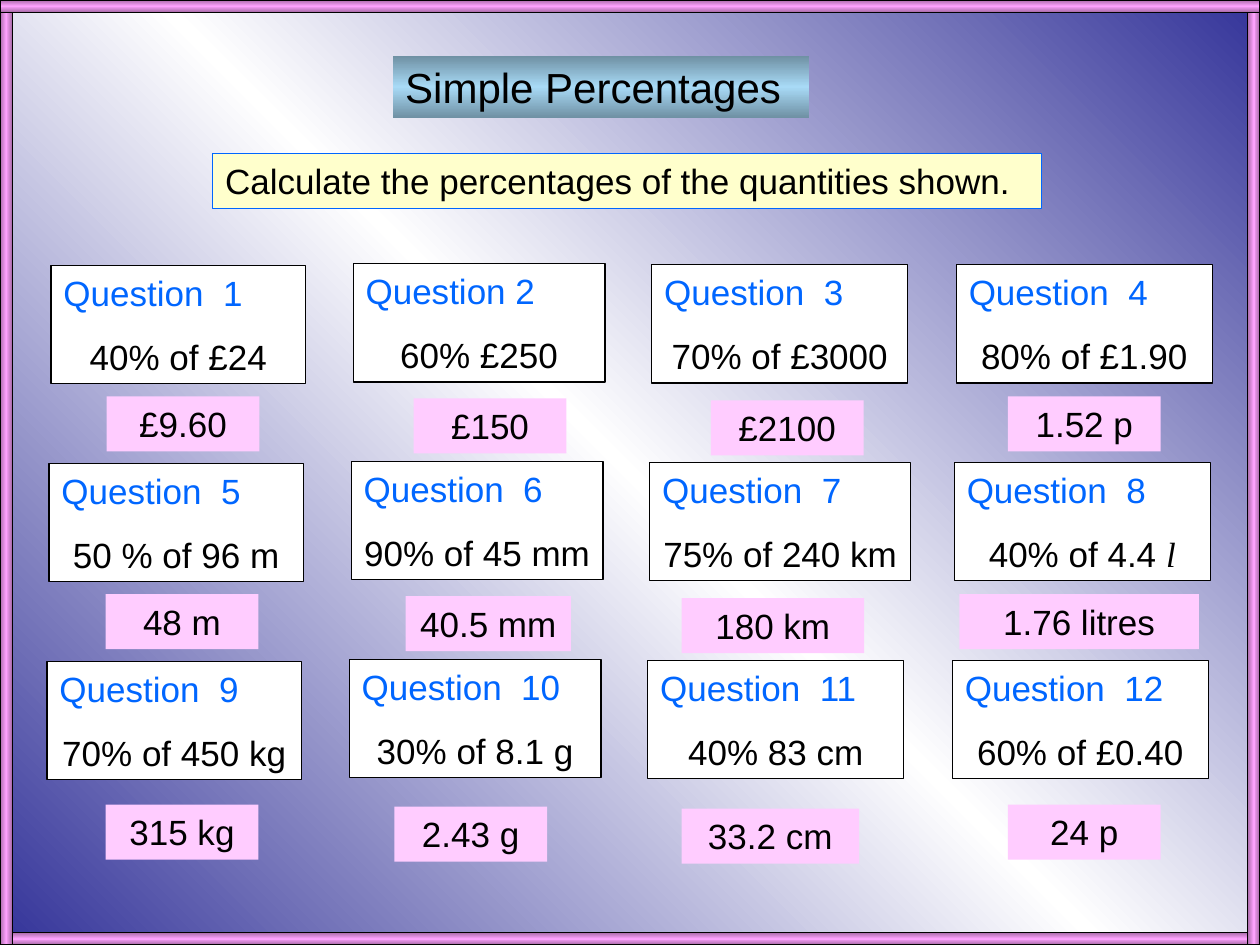
import copy
import dataclasses

import pptx
import pptx.dml.color
import pptx.enum.dml
import pptx.enum.shapes
import pptx.enum.text
import pptx.oxml.ns
import pptx.util

Cm = pptx.util.Cm
Pt = pptx.util.Pt
ALIGN = pptx.enum.text.PP_ALIGN


@dataclasses.dataclass(frozen=True)
class Theme:
    """Colours, fonts and type sizes of the worksheet."""
    backdrop: tuple = ("333399", "FFFFFF", "333399")
    banner: tuple = ("6E8FA2", "A8DAF6", "6E8FA2")
    frame: tuple = ("A76AA7", "FDA1FD", "A76AA7")
    ink: str = "000000"
    accent: str = "0066FF"
    note: str = "FFFFCC"
    card: str = "FFFFFF"
    answer: str = "FFCCFF"
    font: str = "Arial"
    unit_font: str = "Times New Roman"
    title_size: int = 24
    body_size: int = 20
    paragraph_gap: float = 12.5
    line_width: float = 0.75
    inset: float = 0.25


@dataclasses.dataclass(frozen=True)
class Question:
    """One exercise, with its answer label placed relative to its card."""
    heading: str
    task: str
    answer: str
    answer_left: float
    answer_width: float = 3.08
    extra_width: float = 0
    unit: str = ""


THEME = Theme()
SLIDE_WIDTH, SLIDE_HEIGHT, FRAME = 25.4, 19.05, 0.25
CARD_LEFTS = (1.03, 7.12, 13.14, 19.28)
CARD_TOPS = (5.35, 5.31, 5.33, 5.33)
CARD_WIDTHS = (5.13, 5.08, 5.16, 5.16)
CARD_HEIGHT, ROW_PITCH, ROW_SHIFT = 2.39, 3.99, -0.04
ANSWER_DROPS = (2.64, 2.72, 2.74, 2.66)
ANSWER_HEIGHT, LAST_ROW_DROP = 1.11, 0.25
QUESTIONS = (
    (
        Question("Question  1", "40% of £24", "£9.60", 1.12),
        Question("Question 2", "60% £250", "£150", 1.22),
        Question("Question  3", "70% of £3000", "£2100", 1.19),
        Question("Question  4", "80% of £1.90", "1.52 p", 1.04),
    ),
    (
        Question("Question  5", "50 % of 96 m", "48 m", 1.14),
        Question("Question  6", "90% of 45 mm", "40.5 mm", 1.1, 3.33),
        Question("Question  7", "75% of 240 km", "180 km", 0.64, 3.68, extra_width=0.1),
        Question("Question  8", "40% of 4.4 ", "1.76 litres", 0.1, 4.83, unit="l"),
    ),
    (
        Question("Question  9", "70% of 450 kg", "315 kg", 1.18),
        Question("Question  10", "30% of 8.1 g", "2.43 g", 0.91),
        Question("Question  11", "40% 83 cm", "33.2 cm", 0.68, 3.58),
        Question("Question  12", "60% of £0.40", "24 p", 1.12),
    ),
)


def rgb(value):
    """Return a colour object for a hex string."""
    return pptx.dml.color.RGBColor.from_string(value)


def paint_gradient(fill, element, colours, clockwise_angle):
    """Give a fill three evenly spaced gradient stops."""
    fill.gradient()
    fill.gradient_angle = 360 - clockwise_angle
    stop_list = next(element.iter(pptx.oxml.ns.qn("a:gsLst")))
    stop_list.append(copy.deepcopy(stop_list[0]))
    for stop, colour, position in zip(fill.gradient_stops, colours, (0, 0.5, 1)):
        stop.color.rgb = rgb(colour)
        stop.position = position


def add_panel(slide, box, paint, angle=90, line=None):
    """Add a rectangle with a solid or gradient fill and an optional outline."""
    panel = slide.shapes.add_shape(
        pptx.enum.shapes.MSO_SHAPE.RECTANGLE, *(Cm(length) for length in box))
    panel.shadow.inherit = False
    if isinstance(paint, tuple):
        paint_gradient(panel.fill, panel._element, paint, angle)
    else:
        panel.fill.solid()
        panel.fill.fore_color.rgb = rgb(paint)
    if line:
        panel.line.color.rgb = rgb(line)
        panel.line.width = Pt(THEME.line_width)
    else:
        panel.line.fill.background()
    frame = panel.text_frame
    frame.word_wrap = True
    frame.vertical_anchor = pptx.enum.text.MSO_ANCHOR.TOP
    frame.margin_left = frame.margin_right = Cm(THEME.inset)
    frame.margin_top = frame.margin_bottom = Cm(THEME.inset / 2)
    return frame


def write(paragraph, text, align=ALIGN.CENTER, size=THEME.body_size,
          colour=THEME.ink, font=THEME.font, italic=False):
    """Append one styled run to an aligned paragraph."""
    paragraph.alignment = align
    run = paragraph.add_run()
    run.text = text
    run.font.size = Pt(size)
    run.font.name = font
    run.font.italic = italic
    run.font.color.rgb = rgb(colour)


def add_header(slide, left, top):
    """Place the title banner and the instruction below it."""
    title = add_panel(slide, (left + 3.63, top, 8.4, 1.27), THEME.banner)
    write(title.paragraphs[0], "Simple Percentages", ALIGN.LEFT, THEME.title_size)
    instruction = add_panel(
        slide, (left, top + 1.98, 16.71, 1.11), THEME.note, line=THEME.accent)
    write(instruction.paragraphs[0],
          "Calculate the percentages of the quantities shown.", ALIGN.LEFT)


def add_question(slide, question, left, top, width, answer_drop):
    """Place a question card with its answer label beneath."""
    card = add_panel(slide, (left, top, width + question.extra_width, CARD_HEIGHT),
                     THEME.card, line=THEME.ink)
    write(card.paragraphs[0], question.heading, ALIGN.LEFT, colour=THEME.accent)
    task = card.add_paragraph()
    task.space_before = Pt(THEME.paragraph_gap)
    write(task, question.task)
    if question.unit:
        write(task, question.unit, font=THEME.unit_font, italic=True)
    answer = add_panel(
        slide, (left + question.answer_left, top + answer_drop,
                question.answer_width, ANSWER_HEIGHT), THEME.answer)
    write(answer.paragraphs[0], question.answer)


def add_question_grid(slide):
    """Lay the questions out in rows that step slightly to the left."""
    for row, questions in enumerate(QUESTIONS):
        extra_drop = LAST_ROW_DROP if row == len(QUESTIONS) - 1 else 0
        columns = zip(questions, CARD_LEFTS, CARD_TOPS, CARD_WIDTHS, ANSWER_DROPS)
        for question, left, top, width, drop in columns:
            add_question(slide, question, left + row * ROW_SHIFT,
                         top + row * ROW_PITCH, width, drop + extra_drop)


def add_border(slide, width, height):
    """Frame the slide with four gradient bars."""
    bars = (
        ((0, height - FRAME, width, FRAME), 90),
        ((0, 0, FRAME, height), 180),
        ((width - FRAME, 0, FRAME, height), 180),
        ((0, 0, width, FRAME), 90),
    )
    for box, angle in bars:
        add_panel(slide, box, THEME.frame, angle, THEME.ink)


def main():
    """Build and save the worksheet slide."""
    deck = pptx.Presentation()
    deck.slide_width, deck.slide_height = Cm(SLIDE_WIDTH), Cm(SLIDE_HEIGHT)
    slide = deck.slides.add_slide(deck.slide_layouts[6])
    paint_gradient(slide.background.fill, slide._element, THEME.backdrop, 135)
    add_header(slide, 4.29, 1.12)
    add_question_grid(slide)
    add_border(slide, SLIDE_WIDTH, SLIDE_HEIGHT)
    deck.save("out.pptx")


if __name__ == "__main__":
    main()
